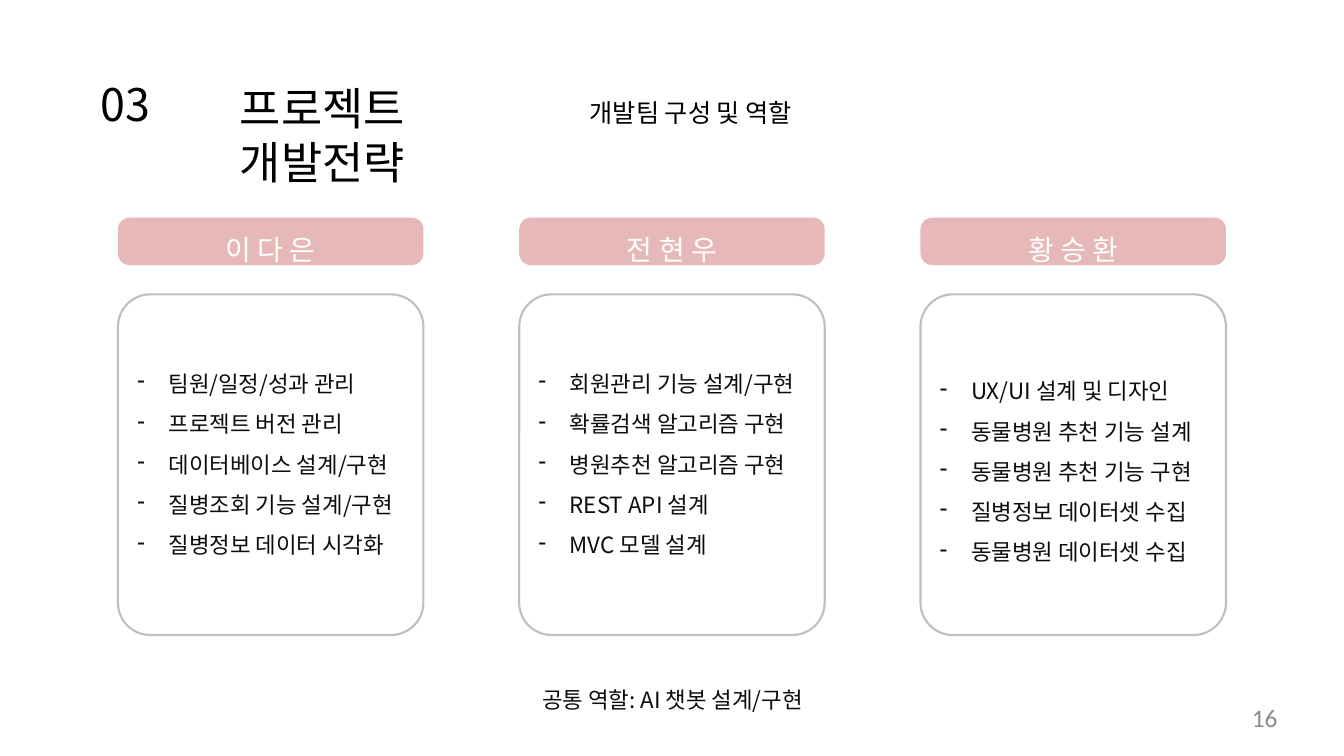
import pptx
import pptx.util
import pptx.dml.color
import pptx.enum.shapes
import pptx.enum.text
import lxml.etree
import dataclasses

ALIGN = pptx.enum.text.PP_ALIGN
ANCHOR = pptx.enum.text.MSO_ANCHOR


@dataclasses.dataclass(frozen=True)
class Theme:
    font: str = "Noto Sans CJK KR"
    digit: str = "Calibri"
    black: str = "000000"
    ink: str = "0D0D0D"
    white: str = "FFFFFF"
    pink: str = "E6B9B8"
    edge: str = "BFBFBF"
    gray: str = "8C8C8C"
    head: int = 32
    name: int = 20
    sub: int = 18
    body: int = 16


THEME = Theme()


def px(count):
    return pptx.util.Emu(count * 9144)


def rgb(code):
    return pptx.dml.color.RGBColor.from_string(code)


def child(props, tag, **attrs):
    return lxml.etree.SubElement(props, pptx.oxml.ns.qn(tag), attrs)


def write(shape, *lines, size=THEME.body, color=THEME.ink, font=THEME.font,
          align=ALIGN.LEFT, anchor=ANCHOR.TOP, space=None, dash=False):
    """Fill a shape with one paragraph per line."""
    frame = shape.text_frame
    frame.word_wrap = True
    frame.auto_size = pptx.enum.text.MSO_AUTO_SIZE.NONE
    frame.vertical_anchor = anchor
    for index, line in enumerate(lines):
        para = frame.add_paragraph() if index else frame.paragraphs[0]
        para.alignment = align
        if space:
            para.line_spacing = space
        if dash:
            props = para._p.get_or_add_pPr()
            props.set("marL", str(px(31)))
            props.set("indent", str(px(-31)))
            child(props, "a:buChar", char="-")
        run = para.add_run()
        run.text = line
        run.font.size = pptx.util.Pt(size)
        run.font.name = font
        run.font.color.rgb = rgb(color)
        child(run._r.get_or_add_rPr(), "a:ea", typeface=font)


class Page:
    def __init__(self, deck, theme):
        self.theme = theme
        self.slide = deck.slides.add_slide(deck.slide_layouts[5])

    def title(self, text, *box):
        shape = self.slide.shapes.title
        shape.left, shape.top, shape.width, shape.height = map(px, box)
        write(shape, text, size=self.theme.head, color=self.theme.black)

    def label(self, text, *box, **style):
        shape = self.slide.shapes.add_textbox(*map(px, box))
        write(shape, text, **style)
        return shape

    def panel(self, *box, curve, fill, edge=None):
        kind = pptx.enum.shapes.MSO_SHAPE.ROUNDED_RECTANGLE
        shape = self.slide.shapes.add_shape(kind, *map(px, box))
        shape.adjustments[0] = curve
        shape.shadow.inherit = False
        shape.fill.solid()
        shape.fill.fore_color.rgb = rgb(fill)
        if edge:
            shape.line.color.rgb = rgb(edge)
            shape.line.width = pptx.util.Pt(1.5)
        else:
            shape.line.fill.background()
        return shape

    def member(self, left, name, tasks, foot):
        look = self.theme
        card = self.panel(left, 292, 303, 338, curve=0.106,
                          fill=look.white, edge=look.edge)
        card.text_frame.margin_bottom = px(foot)
        write(card, *tasks, anchor=ANCHOR.MIDDLE, space=1.5, dash=True)
        tab = self.panel(left, 216, 303, 47, curve=0.243, fill=look.pink)
        write(tab, name, size=look.name, color=look.white,
              align=ALIGN.CENTER, anchor=ANCHOR.MIDDLE, space=1.5)


# Name, tasks and bottom inset of each card
TEAM = [
    ("이 다 은", ["팀원/일정/성과 관리", "프로젝트 버전 관리",
               "데이터베이스 설계/구현", "질병조회 기능 설계/구현",
               "질병정보 데이터 시각화"], 19),
    ("전 현 우", ["회원관리 기능 설계/구현", "확률검색 알고리즘 구현",
               "병원추천 알고리즘 구현", "REST API 설계",
               "MVC 모델 설계"], 19),
    ("황 승 환", ["UX/UI 설계 및 디자인", "동물병원 추천 기능 설계",
               "동물병원 추천 기능 구현", "질병정보 데이터셋 수집",
               "동물병원 데이터셋 수집"], 5),
]


def main():
    deck = pptx.Presentation()
    deck.slide_width, deck.slide_height = px(1333), px(750)
    page = Page(deck, THEME)

    # Heading
    page.label("03", 83, 71, 83, 64, size=THEME.head, color=THEME.black,
               align=ALIGN.CENTER, anchor=ANCHOR.MIDDLE)
    page.title("프로젝트 개발전략", 228, 75, 347, 64)
    page.label("개발팀 구성 및 역할", 575, 92, 233, 40,
               size=THEME.sub, color=THEME.black)

    # Team members
    for index, (name, tasks, foot) in enumerate(TEAM):
        page.member(117 + 398 * index, name, tasks, foot)

    # Shared role and page number
    page.label("공통 역할: AI 챗봇 설계/구현", 504, 662, 326, 47,
               align=ALIGN.CENTER, space=1.5)
    number = page.label("16", 960, 697, 307, 38, size=THEME.sub,
                        color=THEME.gray, font=THEME.digit,
                        align=ALIGN.RIGHT)
    frame = number.text_frame
    frame.margin_left = frame.margin_right = 0
    frame.margin_top = frame.margin_bottom = 0

    deck.save("out.pptx")


if __name__ == "__main__":
    main()
